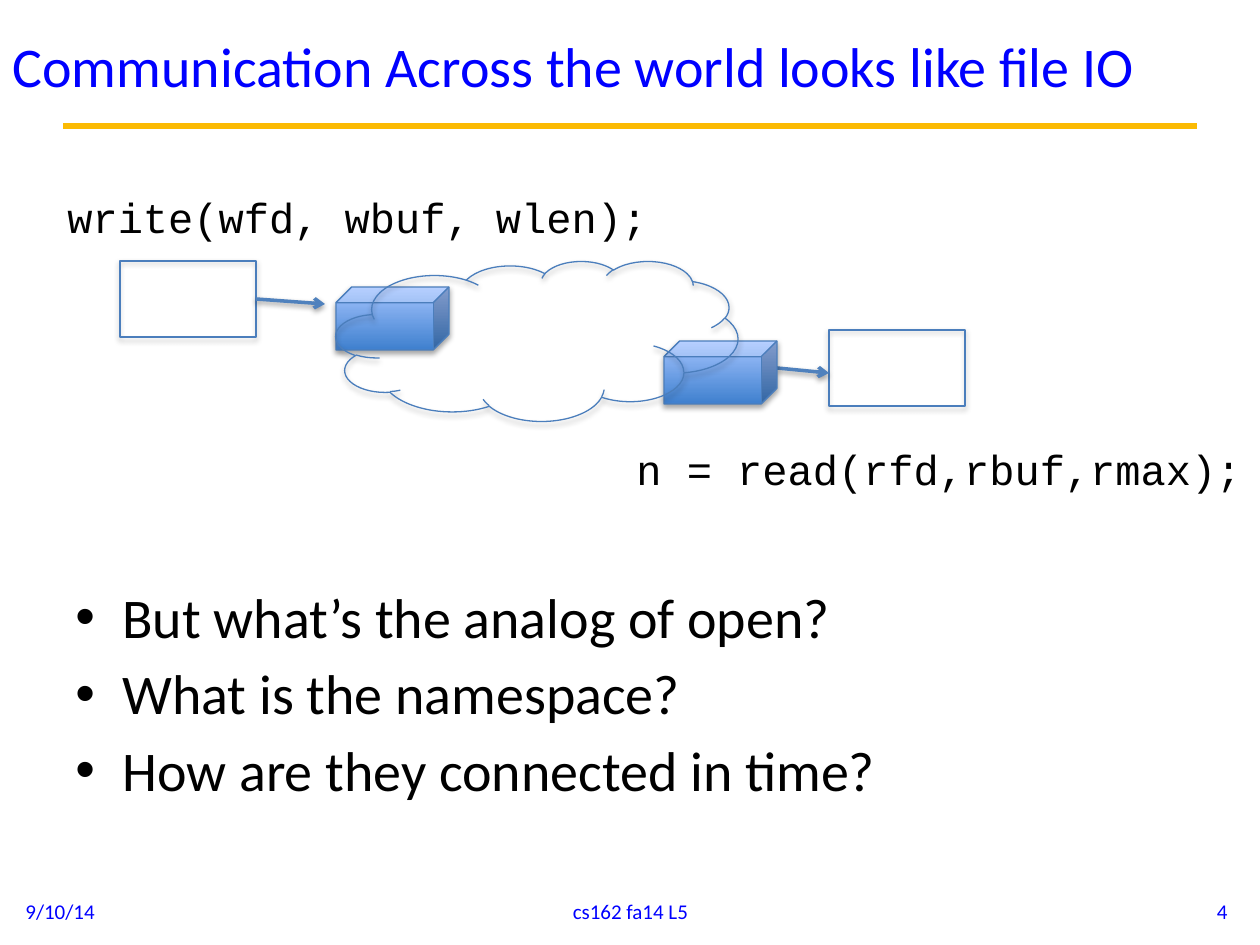
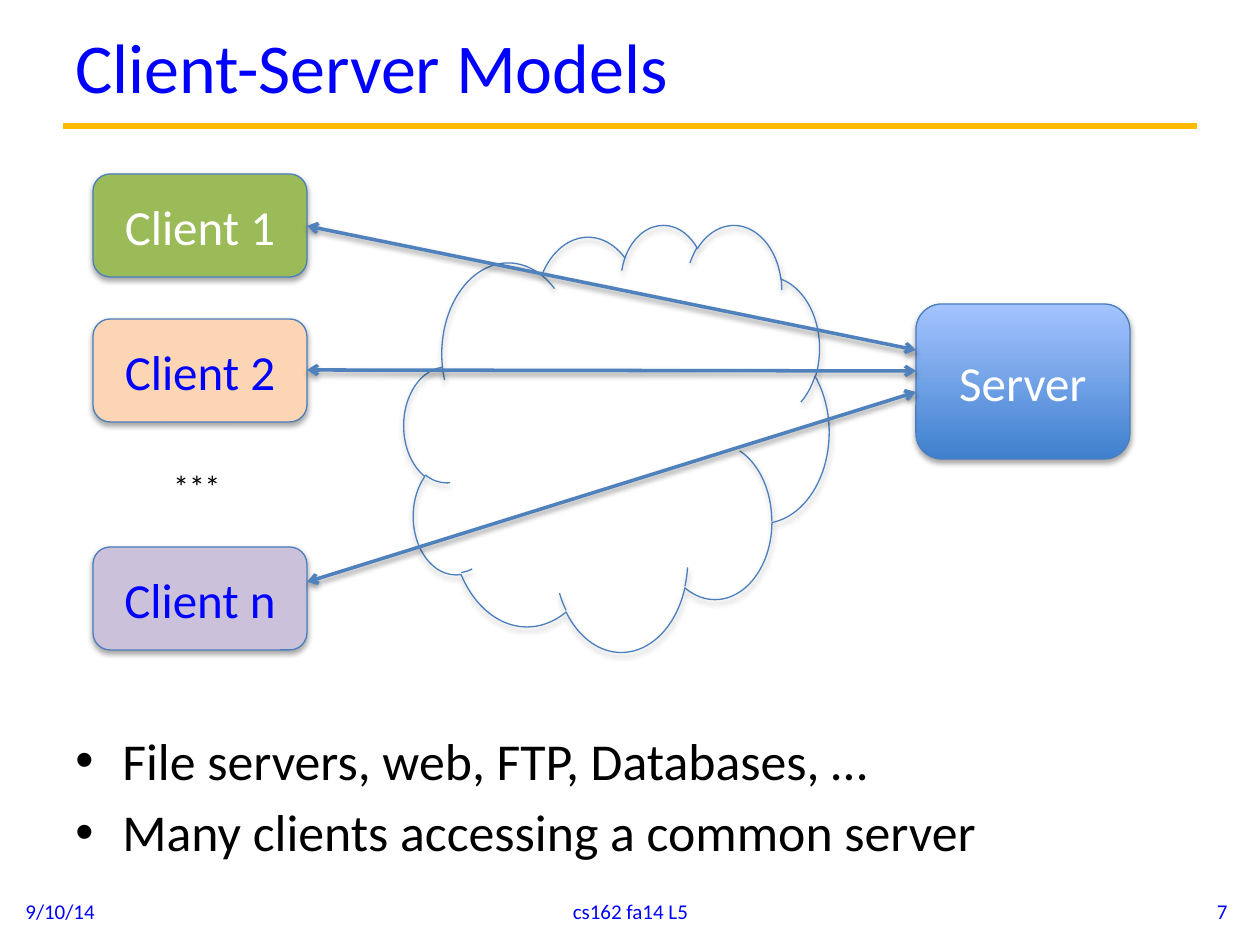
from lxml.etree import SubElement
from pptx import Presentation
from pptx.dml.color import RGBColor
from pptx.enum.shapes import MSO_CONNECTOR, MSO_SHAPE
from pptx.enum.text import MSO_ANCHOR, MSO_AUTO_SIZE, PP_ALIGN
from pptx.oxml.ns import qn
from pptx.util import Pt

EMU_PER_PX = 914400 / 126
COLORS = {
    "blue": "0000FF",
    "gold": "FBBA03",
    "black": "000000",
    "white": "FFFFFF",
    "outline": "4B7EBC",
    "arrow": "4F81BD",
    "grad_bottom": "3F80CE",
    "grad_top": "A4C4FF",
    "green": "9BBB59",
    "peach": "FCD5B5",
    "lilac": "CCC1DA",
}


def px(n):
    return round(n * EMU_PER_PX)


def rgb(name):
    return RGBColor.from_string(COLORS[name])


def write(tf, *lines, size=12, color="black", font="Calibri", align=PP_ALIGN.LEFT,
          anchor=MSO_ANCHOR.TOP, wrap=True, bullet=False):
    tf.auto_size = MSO_AUTO_SIZE.NONE
    tf.word_wrap = wrap
    tf.vertical_anchor = anchor
    for i, line in enumerate(lines):
        p = tf.add_paragraph() if i else tf.paragraphs[0]
        p.alignment = align
        if i:
            p.space_before = Pt(5.5)
        if bullet:
            pPr = p._p.get_or_add_pPr()
            pPr.set("marL", str(px(47)))
            pPr.set("indent", str(-px(47)))
            SubElement(pPr, qn("a:buFont"), typeface="Arial")
            SubElement(pPr, qn("a:buChar"), char="•")
        r = p.add_run()
        r.text = line
        r.font.size = Pt(size)
        r.font.name = font
        r.font.color.rgb = rgb(color)


def add_text(s, box, *lines, **fmt):
    tb = s.shapes.add_textbox(*map(px, box))
    write(tb.text_frame, *lines, **fmt)


def add_shadow(effects, alpha, dist):
    shadow = SubElement(effects, qn("a:outerShdw"), blurRad="40000", dist=str(dist),
                        dir="5400000", rotWithShape="0")
    black = SubElement(shadow, qn("a:srgbClr"), val=COLORS["black"])
    SubElement(black, qn("a:alpha"), val=str(alpha * 1000))


def add_block(s, kind, box, fill=None, label=None, label_color="white"):
    sp = s.shapes.add_shape(kind, *map(px, box))
    if fill == "gradient":
        sp.fill.gradient()
        sp.fill.gradient_angle = 90
        for stop, name in zip(sp.fill.gradient_stops, ("grad_bottom", "grad_top")):
            stop.color.rgb = rgb(name)
    elif fill:
        sp.fill.solid()
        sp.fill.fore_color.rgb = rgb(fill)
    else:
        sp.fill.background()
    sp.line.color.rgb = rgb("outline")
    sp.line.width = Pt(0.75)
    sp.shadow.inherit = False
    add_shadow(sp._element.spPr.find(qn("a:effectLst")), 35, 23000)
    if label:
        write(sp.text_frame, label, size=28, color=label_color,
              align=PP_ALIGN.CENTER, anchor=MSO_ANCHOR.MIDDLE)


def add_line(s, start, end, color, width, ends=(), shadow=False):
    line = s.shapes.add_connector(MSO_CONNECTOR.STRAIGHT, *map(px, start + end))
    line.line.color.rgb = rgb(color)
    line.line.width = Pt(width)
    for end_tag in ends:
        SubElement(line.line._get_or_add_ln(), qn(end_tag), type="arrow")
    effects = SubElement(line._element.spPr, qn("a:effectLst"))
    if shadow:
        add_shadow(effects, 38, 20000)


def add_arrow(s, start, end, both=False):
    ends = ("a:headEnd", "a:tailEnd") if both else ("a:tailEnd",)
    add_line(s, start, end, "arrow", 2, ends, shadow=True)


def add_frame(prs, title, title_box, title_size, number):
    s = prs.slides.add_slide(prs.slide_layouts[5])
    add_line(s, (63, 126), (1197, 126), "gold", 3.75)
    heading = s.shapes.title
    heading.left, heading.top, heading.width, heading.height = map(px, title_box)
    write(heading.text_frame, title, size=title_size, color="blue", anchor=MSO_ANCHOR.MIDDLE)
    footers = (
        (13, 294, "9/10/14", PP_ALIGN.LEFT),
        (431, 399, "cs162 fa14 L5", PP_ALIGN.CENTER),
        (946, 294, str(number), PP_ALIGN.RIGHT),
    )
    for x, w, text, align in footers:
        add_text(s, (x, 886, w, 50), text, color="blue", align=align, anchor=MSO_ANCHOR.MIDDLE)
    return s


def draw_file_path(s, x, y):
    def host(dx, dy):
        add_block(s, MSO_SHAPE.RECTANGLE, (x + dx, y + dy, 136, 76))

    def router(dx, dy):
        add_block(s, MSO_SHAPE.CUBE, (x + dx, y + dy, 113, 63), "gradient")

    def hop(dx, dy, length):
        add_arrow(s, (x + dx, y + dy), (x + dx + length, y + dy + 5))

    router(216, 26)
    host(0, 0)
    hop(136, 38, 69)
    host(709, 69)
    hop(657, 107, 52)
    router(544, 80)
    add_block(s, MSO_SHAPE.CLOUD, (x + 216, y, 402, 160))


def draw_client_server(s, x, y):
    client_w, client_h, server_x = 214, 103, 823
    clients = (
        ("Client 1", 0, "green", "white", 52),
        ("Client 2", 145, "peach", "blue", 51),
        ("Client n", 373, "lilac", "blue", 35),
    )
    add_block(s, MSO_SHAPE.CLOUD, (x + 311, y + 50, 425, 427))
    add_block(s, MSO_SHAPE.ROUNDED_RECTANGLE, (x + server_x, y + 130, client_w, 155),
              "gradient", "Server")
    for name, dy, fill, color, _ in clients:
        add_block(s, MSO_SHAPE.ROUNDED_RECTANGLE, (x, y + dy, client_w, client_h),
                  fill, name, color)
    add_text(s, (x + 68, y + 287, 73, 50), "***", size=18, wrap=False)
    for i, (_, dy, _, _, port) in enumerate(clients):
        add_arrow(s, (x + client_w, y + dy + port), (x + server_x, y + 176 + 21 * i), both=True)


def build_file_io_slide(prs):
    s = add_frame(prs, "Communication Across the world looks like file IO",
                  (0, 5, 1197, 121), 32, 4)
    add_text(s, (63, 576, 1134, 292), "But what’s the analog of open?",
             "What is the namespace?", "How are they connected in time?", size=32, bullet=True)
    add_text(s, (55, 185, 644, 63), "write(wfd, wbuf, wlen);", size=24, font="Courier New")
    add_text(s, (624, 437, 636, 63), "n = read(rfd,rbuf,rmax);", size=24, font="Courier New")
    draw_file_path(s, 120, 261)


def build_client_server_slide(prs):
    s = add_frame(prs, "Client-Server Models", (63, 5, 1134, 121), 40, 7)
    add_text(s, (63, 722, 1134, 146), "File servers, web, FTP, Databases, …",
             "Many clients accessing a common server", size=29.6, bullet=True)
    draw_client_server(s, 93, 174)


def main():
    prs = Presentation()
    prs.slide_width, prs.slide_height = px(1260), px(945)
    build_file_io_slide(prs)
    build_client_server_slide(prs)
    prs.save("out.pptx")


if __name__ == "__main__":
    main()
